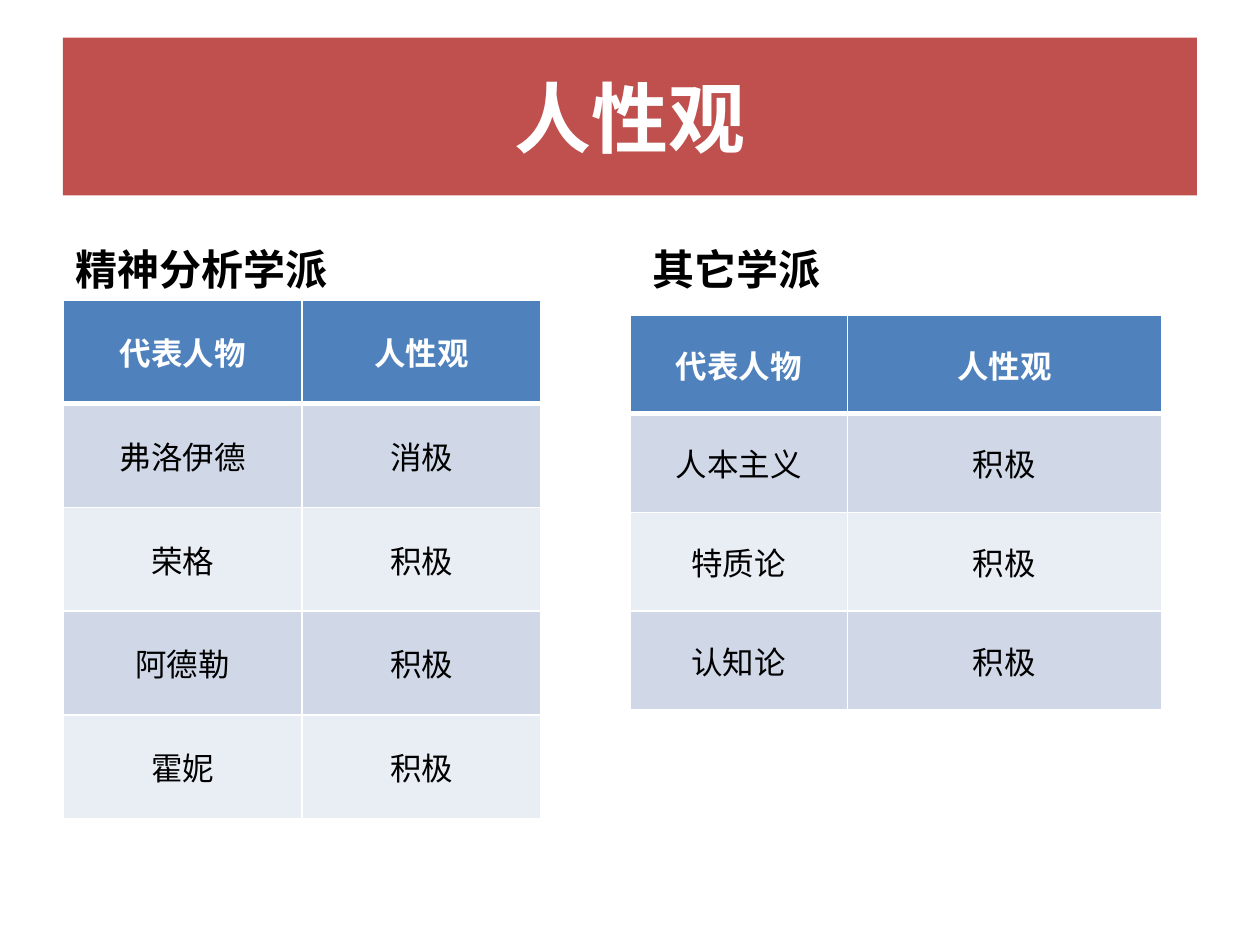
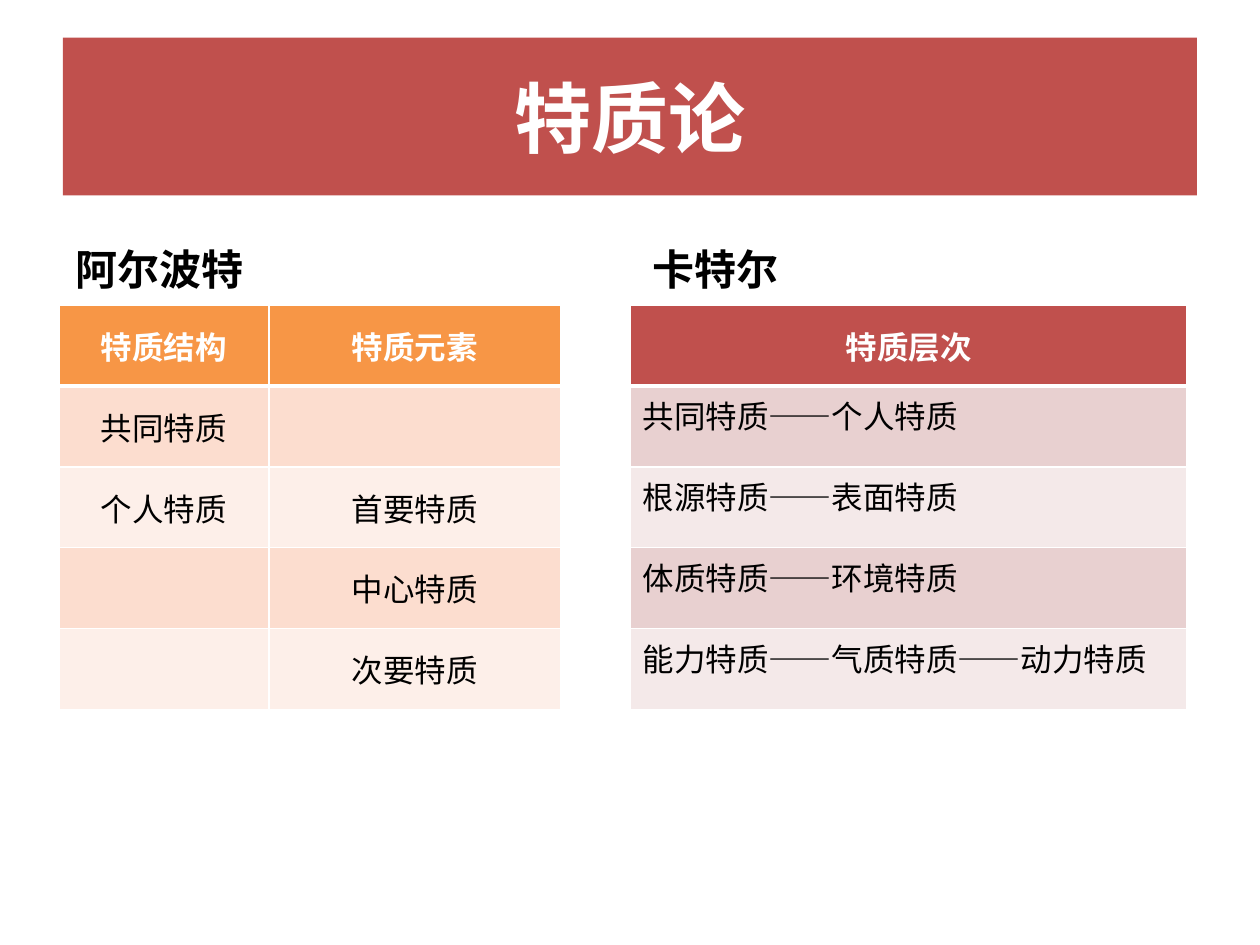
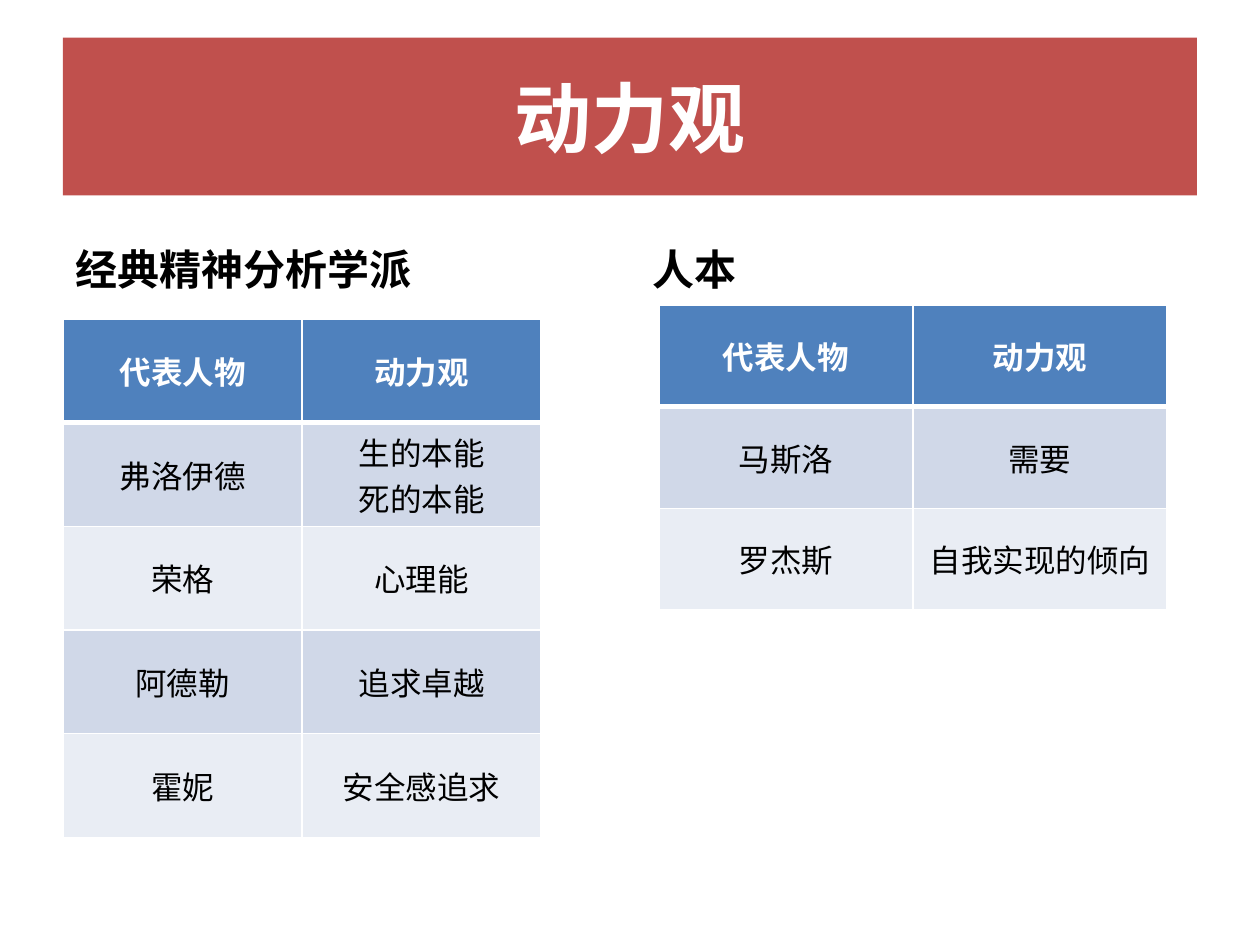
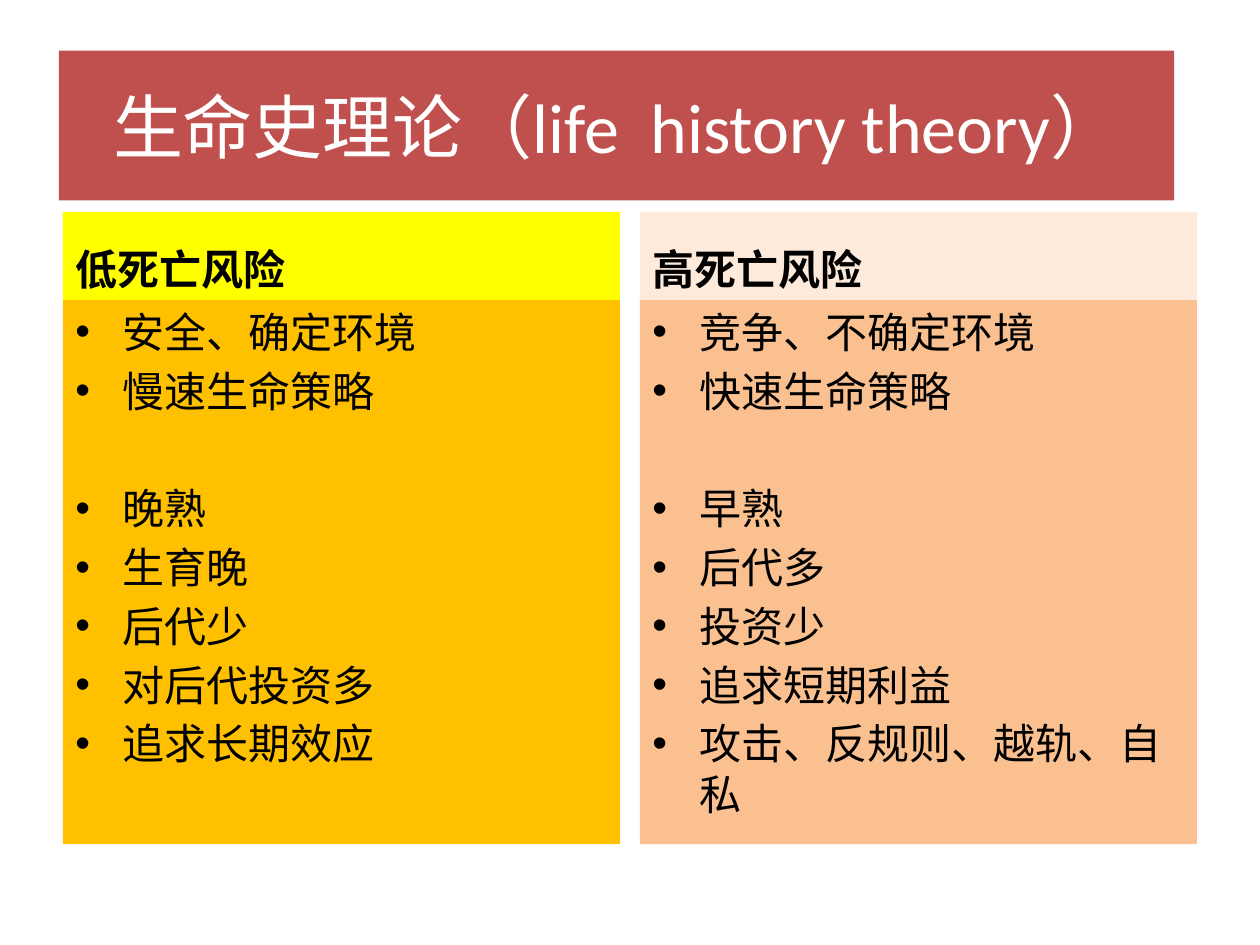
import dataclasses

import lxml.etree
import pptx
import pptx.dml.color
import pptx.enum.shapes
import pptx.enum.text
import pptx.oxml.ns
import pptx.util

Cm = pptx.util.Cm
Pt = pptx.util.Pt
Rgb = pptx.dml.color.RGBColor.from_string
Align = pptx.enum.text.PP_ALIGN
Anchor = pptx.enum.text.MSO_ANCHOR
qn = pptx.oxml.ns.qn


@dataclasses.dataclass(frozen=True)
class Theme:
    font: str = "Calibri"
    heading_font: str = "Noto Sans CJK SC"
    white: str = "FFFFFF"
    black: str = "000000"
    banner: str = "C0504D"
    blue: tuple = ("4F81BD", "D0D8E8", "E9EDF4")
    orange: tuple = ("F79646", "FCDDCF", "FDEFE9")
    red: tuple = ("C0504D", "E8D0D0", "F4E9E9")
    low_risk: tuple = ("FFFF00", "FFC000")
    high_risk: tuple = ("FDEADA", "FAC090")
    title_size: int = 44
    long_title_size: int = 40
    text_size: int = 24
    table_size: int = 18
    line_gap: float = 4.8
    group_gap: float = 38.4


theme = Theme()
BANNER_FRAME = (1.27, 0.76, 22.86, 3.18)
COLUMN_LEFTS = (1.27, 12.9)
COLUMN_WIDTH = 11.23
HEADING_TOP, HEADING_HEIGHT = 4.27, 1.78
BODY_TOP, BODY_HEIGHT = 6.05, 10.97


def add_panel(page, frame, text, size, fill=None, color=theme.black, bold=False,
              align=Align.LEFT, anchor=Anchor.BOTTOM, font=theme.font):
    lengths = [Cm(length) for length in frame]
    if fill:
        box = page.shapes.add_shape(pptx.enum.shapes.MSO_SHAPE.RECTANGLE, *lengths)
        box.shadow.inherit = False
        box.fill.solid()
        box.fill.fore_color.rgb = Rgb(fill)
        box.line.fill.background()
    else:
        box = page.shapes.add_textbox(*lengths)
    box.text_frame.word_wrap = True
    box.text_frame.vertical_anchor = anchor
    box.text_frame.text = text
    for para in box.text_frame.paragraphs:
        para.alignment = align
        para.font.name = font
        para.font.size = Pt(size)
        para.font.bold = bold
        para.font.color.rgb = Rgb(color)
    return box


def add_grid(page, left, top, widths, row_height, colors, rows, centered=True):
    table = page.shapes.add_table(
        len(rows), len(widths), Cm(left), Cm(top),
        Cm(sum(widths)), Cm(row_height * len(rows))).table
    table.horz_banding = False
    for column, width in zip(table.columns, widths):
        column.width = Cm(width)
    for row_index, row in enumerate(rows):
        table.rows[row_index].height = Cm(row_height)
        is_header = row_index == 0
        fill = colors[0] if is_header else colors[2 - row_index % 2]
        for column_index, text in enumerate(row):
            cell = table.cell(row_index, column_index)
            cell.text = text
            props = cell._tc.get_or_add_tcPr()
            borders = {"lnL": 1, "lnR": 1, "lnT": 3 if row_index == 1 else 1,
                       "lnB": 3 if is_header else 1}
            for side, width in borders.items():
                line = lxml.etree.SubElement(props, qn("a:" + side), w=str(Pt(width)))
                solid = lxml.etree.SubElement(line, qn("a:solidFill"))
                lxml.etree.SubElement(solid, qn("a:srgbClr"), val=theme.white)
            cell.fill.solid()
            cell.fill.fore_color.rgb = Rgb(fill)
            middle = is_header or centered
            cell.vertical_anchor = Anchor.MIDDLE if middle else Anchor.TOP
            for para in cell.text_frame.paragraphs:
                para.alignment = Align.CENTER if middle else Align.LEFT
                para.font.name = theme.font
                para.font.size = Pt(theme.table_size)
                para.font.bold = is_header
                para.font.color.rgb = Rgb(theme.white if is_header else theme.black)


deck = pptx.Presentation()
deck.slide_width, deck.slide_height = Cm(25.4), Cm(19.05)
blank = deck.slide_layouts[6]

table_pages = [
    ("人性观", [
        ("精神分析学派", dict(
            left=1.27, top=6.05, widths=(4.82, 4.82), row_height=2.09, colors=theme.blue,
            rows=[("代表人物", "人性观"), ("弗洛伊德", "消极"), ("荣格", "积极"),
                  ("阿德勒", "积极"), ("霍妮", "积极")])),
        ("其它学派", dict(
            left=12.7, top=6.35, widths=(4.38, 6.33), row_height=1.99, colors=theme.blue,
            rows=[("代表人物", "人性观"), ("人本主义", "积极"), ("特质论", "积极"),
                  ("认知论", "积极")])),
    ]),
    ("特质论", [
        ("阿尔波特", dict(
            left=1.19, top=6.15, widths=(4.23, 5.88), row_height=1.63, colors=theme.orange,
            rows=[("特质结构", "特质元素"), ("共同特质", ""), ("个人特质", "首要特质"),
                  ("", "中心特质"), ("", "次要特质")])),
        ("卡特尔", dict(
            left=12.7, top=6.15, widths=(11.23,), row_height=1.63, colors=theme.red,
            rows=[("特质层次",), ("共同特质——个人特质",), ("根源特质——表面特质",),
                  ("体质特质——环境特质",), ("能力特质——气质特质——动力特质",)],
            centered=False)),
    ]),
    ("动力观", [
        ("经典精神分析学派", dict(
            left=1.27, top=6.43, widths=(4.82, 4.82), row_height=2.09, colors=theme.blue,
            rows=[("代表人物", "动力观"), ("弗洛伊德", "生的本能\n死的本能"),
                  ("荣格", "心理能"), ("阿德勒", "追求卓越"), ("霍妮", "安全感追求")])),
        ("人本", dict(
            left=13.28, top=6.15, widths=(5.12, 5.12), row_height=2.05, colors=theme.blue,
            rows=[("代表人物", "动力观"), ("马斯洛", "需要"), ("罗杰斯", "自我实现的倾向")])),
    ]),
]

for title, columns in table_pages:
    page = deck.slides.add_slide(blank)
    add_panel(page, BANNER_FRAME, title, theme.title_size, theme.banner, theme.white,
              bold=True, align=Align.CENTER, anchor=Anchor.MIDDLE)
    for left, (heading, grid) in zip(COLUMN_LEFTS, columns):
        add_panel(page, (left, HEADING_TOP, COLUMN_WIDTH, HEADING_HEIGHT), heading,
                  theme.text_size, bold=True)
        add_grid(page, **grid)

page = deck.slides.add_slide(blank)
add_panel(page, (1.19, 1.02, 22.48, 3.02), "生命史理论（life  history theory）",
          theme.long_title_size, theme.banner, theme.white,
          align=Align.CENTER, anchor=Anchor.MIDDLE)

risk_columns = [
    ("低死亡风险", theme.low_risk,
     ["安全、确定环境", "慢速生命策略", "晚熟", "生育晚", "后代少", "对后代投资多",
      "追求长期效应"]),
    ("高死亡风险", theme.high_risk,
     ["竞争、不确定环境", "快速生命策略", "早熟", "后代多", "投资少", "追求短期利益",
      "攻击、反规则、越轨、自私"]),
]
SECOND_GROUP_START = 2

for left, (heading, (heading_fill, body_fill), points) in zip(COLUMN_LEFTS, risk_columns):
    add_panel(page, (left, HEADING_TOP, COLUMN_WIDTH, HEADING_HEIGHT), heading,
              theme.text_size, heading_fill, bold=True, font=theme.heading_font)
    box = add_panel(page, (left, BODY_TOP, COLUMN_WIDTH, BODY_HEIGHT), "\n".join(points),
                    theme.text_size, body_fill, anchor=Anchor.TOP)
    for index, para in enumerate(box.text_frame.paragraphs):
        if index:
            starts_group = index == SECOND_GROUP_START
            para.space_before = Pt(theme.group_gap if starts_group else theme.line_gap)
        props = para._p.get_or_add_pPr()
        props.set("marL", str(Cm(0.95)))
        props.set("indent", str(-Cm(0.95)))
        defaults = props.find(qn("a:defRPr"))
        bullet_font = lxml.etree.Element(qn("a:buFont"), typeface="Arial")
        bullet = lxml.etree.Element(qn("a:buChar"), char="•")
        defaults.addprevious(bullet_font)
        defaults.addprevious(bullet)

deck.save("out.pptx")
